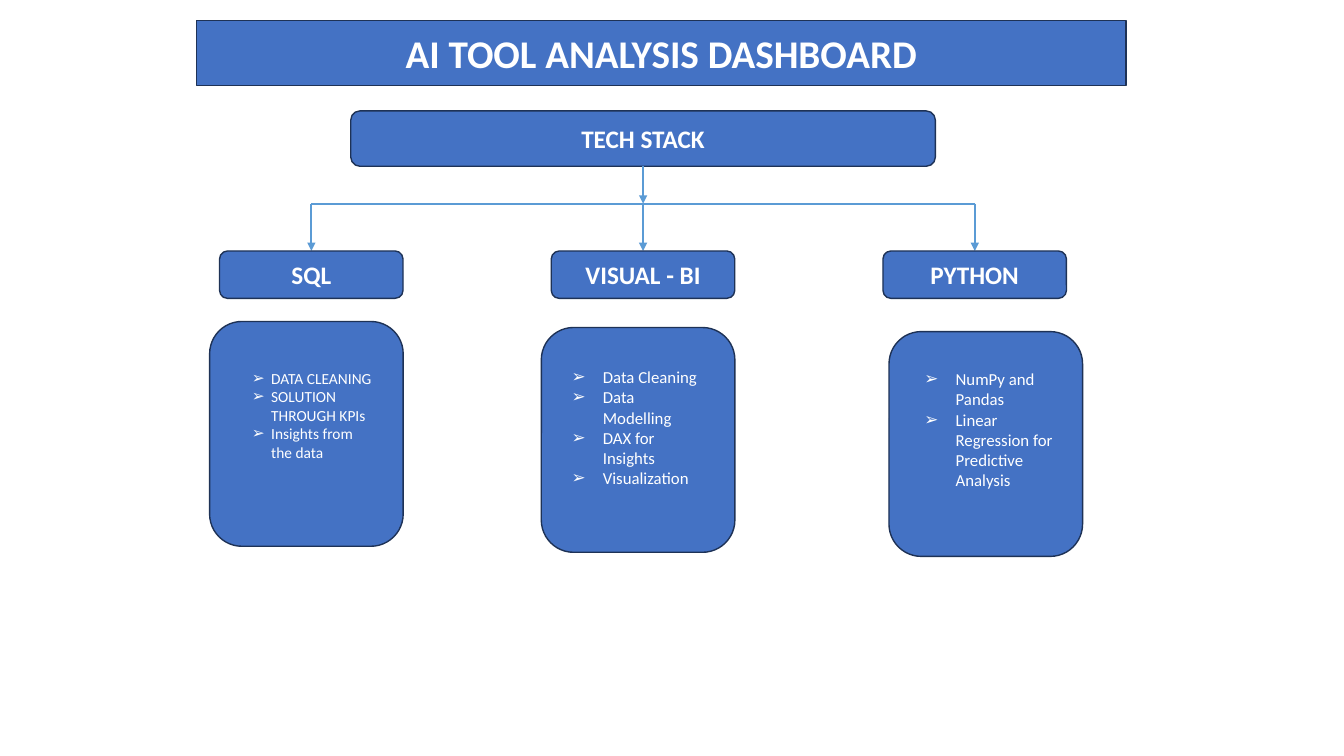
import pptx
import pptx.util
import pptx.dml.color
import pptx.enum.shapes
import pptx.enum.text
import pptx.oxml
import pptx.oxml.ns

WIDE, HIGH = 13.33, 7.5
COL, ROW = WIDE / 100, HIGH / 100  # grid of 100 columns by 100 rows
BLUE, NAVY, SKY, WHITE = "4472C4", "1E3256", "5B9BD5", "FFFFFF"
MID, STEP = 47.85, 24.68  # centre branch and gap between branches
STEM, BAR, HEAD = 22, 26.93, 33.2  # rows of the tree
ALIGN = pptx.enum.text.PP_ALIGN
ANCHOR = pptx.enum.text.MSO_ANCHOR

# name, panel (column, row), list (column, row, columns, rows), size, indent, items
TOOLS = [
    ("SQL", (15.6, 42.53), (18, 48.13, 10.43, 18.4), 11, 0.19,
     ["DATA CLEANING", "SOLUTION THROUGH KPIs", "Insights from the data"]),
    ("VISUAL - BI", (40.28, 43.33), (41.78, 47.87, 11.33, 17.47), 12, 0.31,
     ["Data Cleaning", "Data Modelling", "DAX for Insights", "Visualization"]),
    ("PYTHON", (66.15, 43.87), (68.03, 48.13, 11.33, 17.47), 12, 0.31,
     ["NumPy and Pandas", "Linear Regression for Predictive Analysis"]),
]


def color(code):
    return pptx.dml.color.RGBColor.from_string(code)


def across(cols):
    return pptx.util.Inches(cols * COL)


def down(rows):
    return pptx.util.Inches(rows * ROW)


def node(tag, **attrs):
    item = pptx.oxml.parse_xml(f"<a:{tag} {pptx.oxml.ns.nsdecls('a')}/>")
    for key, value in attrs.items():
        item.set(key, value)
    return item


def place(shape, left, top, wide, high):
    shape.left, shape.top = across(left), down(top)
    shape.width, shape.height = across(wide), down(high)


def write(shape, lines, size=18, bold=False, align=ALIGN.CENTER,
          anchor=ANCHOR.MIDDLE, indent=None):
    frame = shape.text_frame
    frame.text = "\n".join(lines)
    frame.word_wrap = True
    frame.auto_size = pptx.enum.text.MSO_AUTO_SIZE.NONE
    frame.vertical_anchor = anchor
    for para in frame.paragraphs:
        para.alignment = align
        para.space_before = pptx.util.Pt(0)
        if indent:
            bullet(para, indent)
        font = para.runs[0].font
        font.name, font.size, font.bold = "Calibri", pptx.util.Pt(size), bold
        font.color.rgb = color(WHITE)


def bullet(para, indent):
    props = para._p.get_or_add_pPr()
    gap = pptx.util.Inches(indent)
    props.set("marL", str(gap))
    props.set("indent", str(-gap))
    props.append(node("buFont", typeface="Wingdings"))
    props.append(node("buChar", char="➢"))
    props[-2].set("typeface", "Arial")


def paint(shape):
    shape.fill.solid()
    shape.fill.fore_color.rgb = color(BLUE)
    shape.line.color.rgb = color(NAVY)
    shape.line.width = pptx.util.Pt(1)


def box(slide, left, top, wide, high):
    shape = slide.shapes.add_shape(
        pptx.enum.shapes.MSO_SHAPE.ROUNDED_RECTANGLE,
        across(left), down(top), across(wide), down(high))
    shape.shadow.inherit = False
    paint(shape)
    return shape


def link(slide, start, end, arrow=True):
    line = slide.shapes.add_connector(
        pptx.enum.shapes.MSO_CONNECTOR.STRAIGHT,
        across(start[0]), down(start[1]), across(end[0]), down(end[1]))
    line.line.color.rgb = color(SKY)
    line.line.width = pptx.util.Pt(1.5)
    props = line.element.spPr
    if arrow:
        props.find(pptx.oxml.ns.qn("a:ln")).append(node("tailEnd", type="triangle"))
    props.append(node("effectLst"))


def banner(shape, text):
    place(shape, 14.63, 2.67, 69.15, 8.67)
    shape.element.spPr.append(node("prstGeom", prst="roundRect"))
    paint(shape)
    write(shape, [text], size=28, bold=True)


def tree(slide):
    write(box(slide, 26.1, 14.67, 43.5, 7.33), ["TECH STACK"], bold=True)
    link(slide, (MID, STEM), (MID, BAR))
    link(slide, (MID - STEP, BAR), (MID + STEP, BAR), arrow=False)


def branch(slide, hold, spot, tool):
    name, panel, area, size, indent, items = tool
    link(slide, (spot, BAR), (spot, HEAD))
    write(box(slide, spot - 6.83, HEAD, 13.65, 6.27), [name], bold=True)
    box(slide, *panel, 14.4, 29.73)
    place(hold, *area)
    write(hold, items, size=size, align=ALIGN.LEFT, anchor=ANCHOR.TOP, indent=indent)
    # Bring the list in front of its panel
    hold.element.getparent().append(hold.element)


def main():
    deck = pptx.Presentation()
    deck.slide_width = pptx.util.Inches(WIDE)
    deck.slide_height = pptx.util.Inches(HIGH)
    # The comparison layout has a title and four bodies
    slide = deck.slides.add_slide(deck.slide_layouts[4])
    title, *holds = list(slide.placeholders)

    # Title and tree
    banner(title, "AI TOOL ANALYSIS DASHBOARD")
    tree(slide)

    # One branch for each tool
    for rank, tool in enumerate(TOOLS):
        branch(slide, holds[rank], MID + (rank - 1) * STEP, tool)

    # Spare placeholder
    spare = holds[-1].element
    spare.getparent().remove(spare)
    deck.save("out.pptx")


if __name__ == "__main__":
    main()
